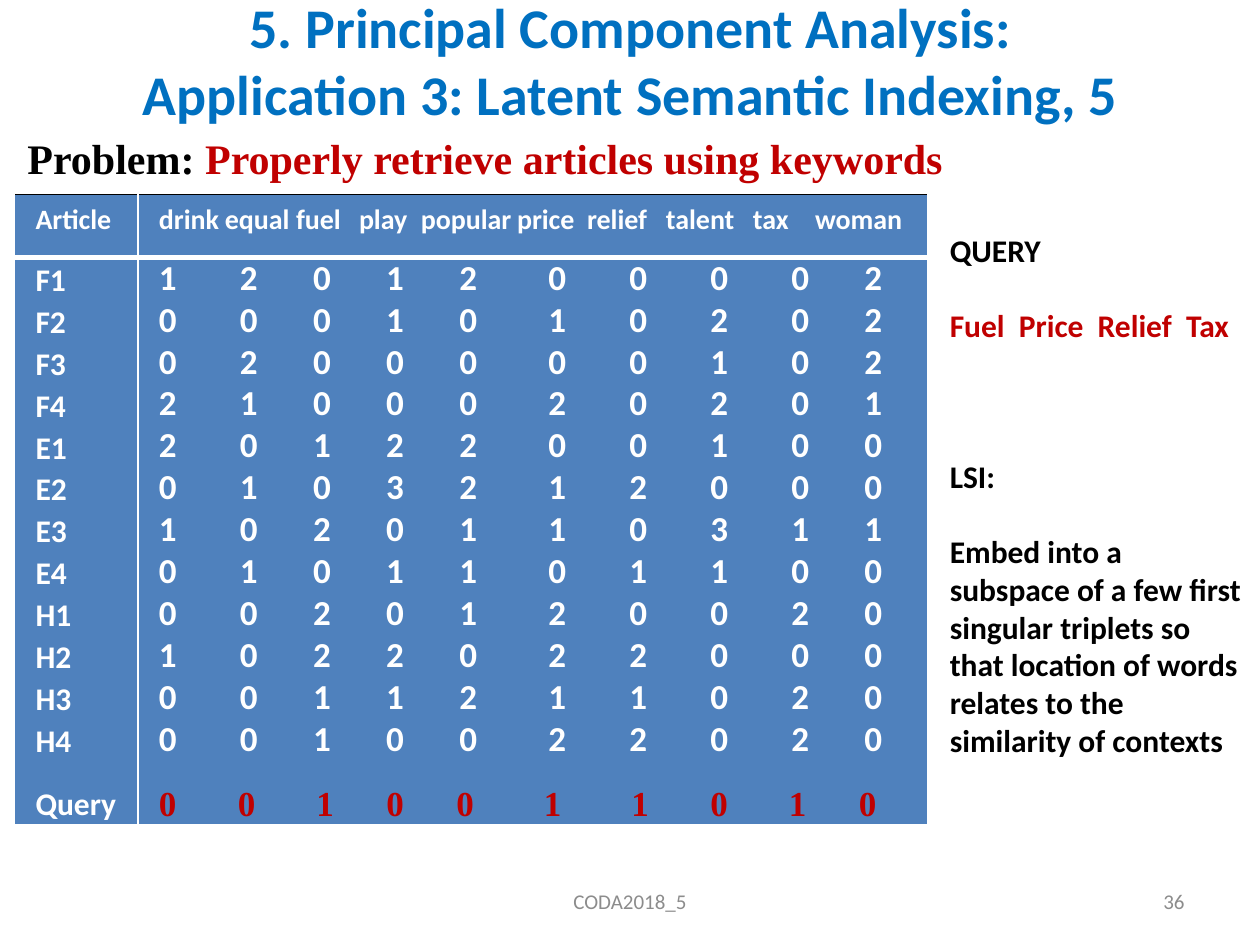
"""Build the latent semantic indexing slide with its article-by-keyword table."""
import dataclasses
import itertools
import typing

import lxml.etree
import pptx
import pptx.dml.color
import pptx.enum.text
import pptx.oxml.ns
import pptx.util

Pt = pptx.util.Pt
Align = pptx.enum.text.PP_ALIGN
Anchor = pptx.enum.text.MSO_ANCHOR
AutoSize = pptx.enum.text.MSO_AUTO_SIZE


@dataclasses.dataclass(frozen=True)
class Theme:
    sans: str = "Calibri"
    serif: str = "Times New Roman"
    title: str = "0070C0"
    accent: str = "C00000"
    ink: str = "000000"
    paper: str = "FFFFFF"
    cell: str = "4F81BD"
    muted: str = "8C8C8C"
    title_size: float = 32
    problem_size: float = 24
    count_size: float = 20
    text_size: float = 18
    header_size: float = 16
    footer_size: float = 12


THEME = Theme()


class Span(typing.NamedTuple):
    text: str
    size: float
    color: str
    font: str = THEME.sans
    bold: bool = True


class Line(typing.NamedTuple):
    spans: tuple[Span, ...]
    gap: float = 0
    stops: tuple[float, ...] = ()


class Box(typing.NamedTuple):
    place: tuple[float, float, float, float]
    lines: tuple[Line, ...]
    align: Align = Align.LEFT
    frame: dict[str, typing.Any] = {}


def apply(target: typing.Any, values: dict[str, typing.Any]) -> None:
    for name, value in values.items():
        setattr(target, name, value)


def add_node(parent: typing.Any, tag: str, **attributes: str) -> typing.Any:
    return lxml.etree.SubElement(parent, pptx.oxml.ns.qn(tag), attributes)


def write_span(paragraph: typing.Any, span: Span) -> None:
    for index, part in enumerate(span.text.split("\n")):
        if index:
            paragraph.add_line_break()
        run = paragraph.add_run()
        run.text = part
        apply(run.font, {"name": span.font, "size": Pt(span.size), "bold": span.bold})
        run.font.color.rgb = pptx.dml.color.RGBColor.from_string(span.color)


def write_lines(frame: typing.Any, lines: typing.Iterable[Line], paragraph_format: dict[str, typing.Any]) -> None:
    for index, line in enumerate(lines):
        paragraph = frame.add_paragraph() if index else frame.paragraphs[0]
        apply(paragraph, paragraph_format | {"space_before": Pt(line.gap)})
        if line.stops:
            tabs = add_node(paragraph._p.get_or_add_pPr(), "a:tabLst")
            for stop in line.stops:
                add_node(tabs, "a:tab", pos=str(int(Pt(stop))), algn="l")
        for span in line.spans:
            write_span(paragraph, span)


def add_box(slide: typing.Any, box: Box) -> None:
    frame = slide.shapes.add_textbox(*map(Pt, box.place)).text_frame
    apply(frame, {"word_wrap": True, "auto_size": AutoSize.NONE} | box.frame)
    write_lines(frame, box.lines, {"alignment": box.align})


def stops_from(start_gaps: typing.Iterable[float]) -> tuple[float, ...]:
    return tuple(round(stop, 2) for stop in itertools.accumulate(start_gaps))


def fill_cell(cell: typing.Any, lines: list[Line], borders: dict[str, tuple[str, float]]) -> None:
    properties = cell._tc.get_or_add_tcPr()
    for side, (color, width) in borders.items():
        edge = add_node(properties, f"a:ln{side}", w=str(int(Pt(width))))
        add_node(add_node(edge, "a:solidFill"), "a:srgbClr", val=color)
    cell.fill.solid()
    cell.fill.fore_color.rgb = pptx.dml.color.RGBColor.from_string(THEME.cell)
    apply(cell, {"margin_left": Pt(LINE), "margin_top": Pt(LINE), "margin_right": 0,
                 "margin_bottom": 0, "vertical_anchor": Anchor.TOP})
    write_lines(cell.text_frame, lines, {"alignment": Align.JUSTIFY, "line_spacing": Pt(LINE)})


LINE = 12
KEYWORDS = "drink equal fuel play popular price relief talent tax woman".split()
KEYWORD_STOPS = (37.7, 78.3, 114.3, 149.7, 204.6, 244.6, 289.7, 339.4, 374.9)
COUNT_STOPS = stops_from(10.14 + 4.52 * n for n in (8, 7, 7, 7, 9, 8, 8, 8, 7))
QUERY_STOPS = stops_from(10 + 5 * n for n in (7, 7, 6, 6, 8, 8, 7, 7, 6))
ARTICLE_COUNTS = {
    "F1": "1201200002",
    "F2": "0001010202",
    "F3": "0200000102",
    "F4": "2100020201",
    "E1": "2012200100",
    "E2": "0103212000",
    "E3": "1020110311",
    "E4": "0101101100",
    "H1": "0020120020",
    "H2": "1022022000",
    "H3": "0011211020",
    "H4": "0010022020",
}
QUERY_COUNTS = "0010011010"


def add_counts_table(slide: typing.Any) -> None:
    table = slide.shapes.add_table(2, 2, Pt(8.3), Pt(111.2), Pt(522), Pt(30 * LINE)).table
    apply(table, {"first_row": False, "horz_banding": False})
    for column, width in zip(table.columns, (70.56, 451.44)):
        column.width = Pt(width)
    for row, line_count in zip(table.rows, (3, 27)):
        row.height = Pt(line_count * LINE)

    white = THEME.paper
    labels, counts = [], []
    for index, (article, values) in enumerate(ARTICLE_COUNTS.items()):
        gap = LINE if index else 0
        labels.append(Line((Span(article, THEME.text_size, white),), gap))
        counts.append(Line((Span("\t".join(values), THEME.count_size, white),), gap, COUNT_STOPS))
    labels.append(Line((Span("Query", THEME.text_size, white),), 2 * LINE))
    query = Span("\t".join(QUERY_COUNTS), THEME.count_size, THEME.accent, THEME.serif)
    counts.append(Line((query,), 2 * LINE, QUERY_STOPS))

    article_head = [Line((Span("Article", THEME.header_size, white),))]
    keyword_head = [Line((Span("\t".join(KEYWORDS), THEME.header_size, white),), 0, KEYWORD_STOPS)]
    sides = {"L": (white, 1), "R": (white, 1)}
    head_borders = sides | {"T": (THEME.ink, 1), "B": (white, 3)}
    body_borders = sides | {"T": (white, 3), "B": (white, 1)}
    for row, (cells, borders) in enumerate((
        ((article_head, keyword_head), head_borders),
        ((labels, counts), body_borders),
    )):
        for column, lines in enumerate(cells):
            fill_cell(table.cell(row, column), lines, borders)


def note(text: str, gap: float = 0, color: str = THEME.ink) -> Line:
    return Line((Span(text, THEME.text_size, color),), gap)


def footer(text: str) -> tuple[Line, ...]:
    return (Line((Span(text, THEME.footer_size, THEME.muted, bold=False),)),)


TITLE = "5. Principal Component Analysis:\nApplication 3: Latent Semantic Indexing, 5"
MIDDLE = {"vertical_anchor": Anchor.MIDDLE}
NOTE_LINE = 21.5
BOXES = (
    Box((14.4, 2.2, 692, 64), (Line((Span(TITLE, THEME.title_size, THEME.title),)),), Align.CENTER, MIDDLE),
    Box((8.64, 43.2, 702.7, 496.8), (Line((
        Span("Problem: ", THEME.problem_size, THEME.ink, THEME.serif),
        Span("Properly retrieve articles using keywords", THEME.problem_size, THEME.accent, THEME.serif),
    )),), frame={"margin_top": Pt(32.7)}),
    Box((246, 500.4, 228, 28.8), footer("CODA2018_5"), Align.CENTER, MIDDLE),
    Box((516, 500.4, 168, 28.8), footer("36"), Align.RIGHT, MIDDLE),
    Box((535.7, 128.2, 184.3, 312.5), (
        note("QUERY"),
        note("Fuel  Price  Relief  Tax", NOTE_LINE, THEME.accent),
        note("LSI:", 3 * NOTE_LINE),
        note("Embed into a subspace of a few first singular triplets so that location of words "
             "relates to the similarity of contexts", NOTE_LINE),
    ), frame={"auto_size": AutoSize.SHAPE_TO_FIT_TEXT}),
)


def main() -> None:
    deck = pptx.Presentation()
    apply(deck, {"slide_width": Pt(720), "slide_height": Pt(540)})
    slide = deck.slides.add_slide(deck.slide_layouts[6])
    *back_boxes, side_note = BOXES
    for box in back_boxes:
        add_box(slide, box)
    add_counts_table(slide)
    add_box(slide, side_note)
    deck.save("out.pptx")


if __name__ == "__main__":
    main()
